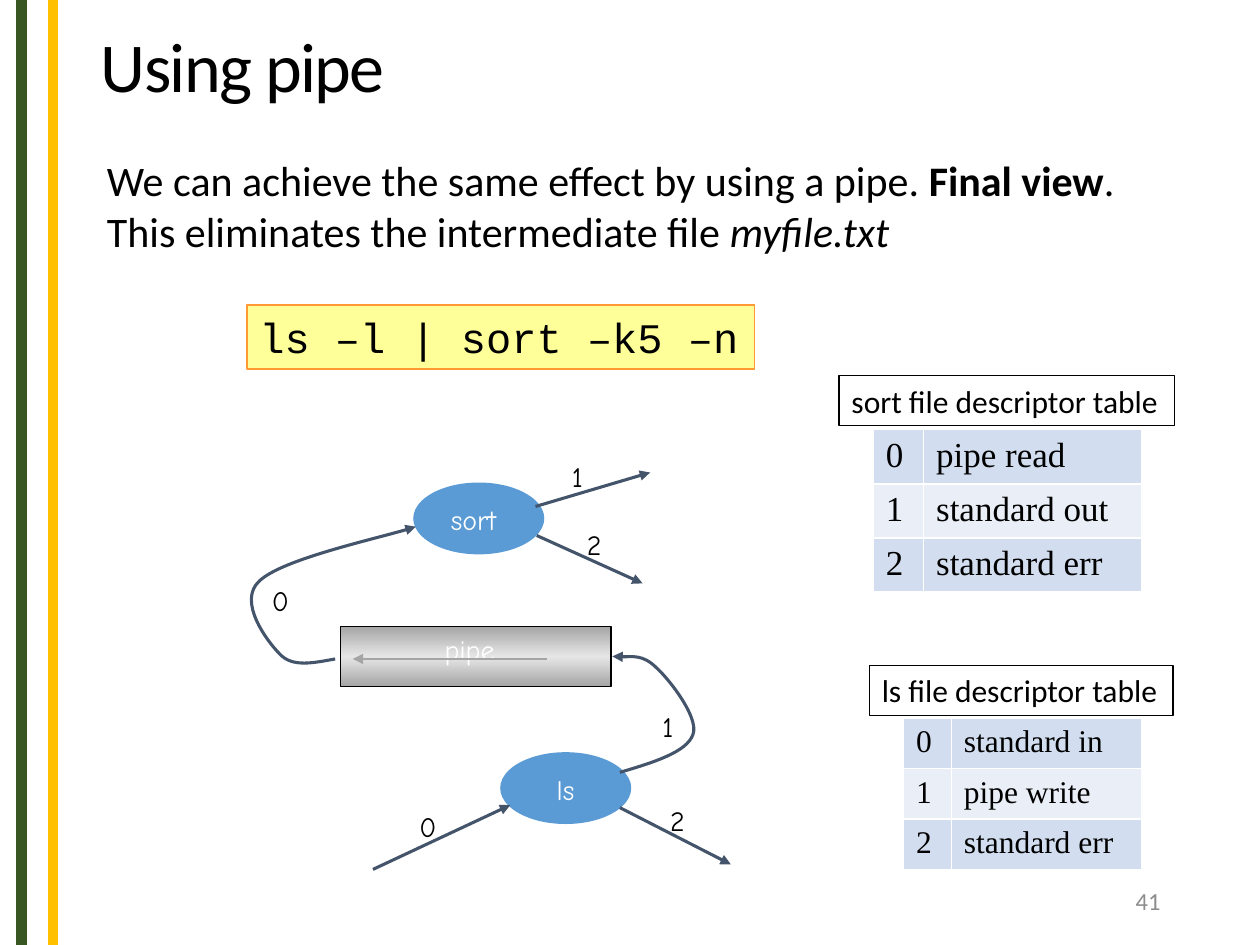
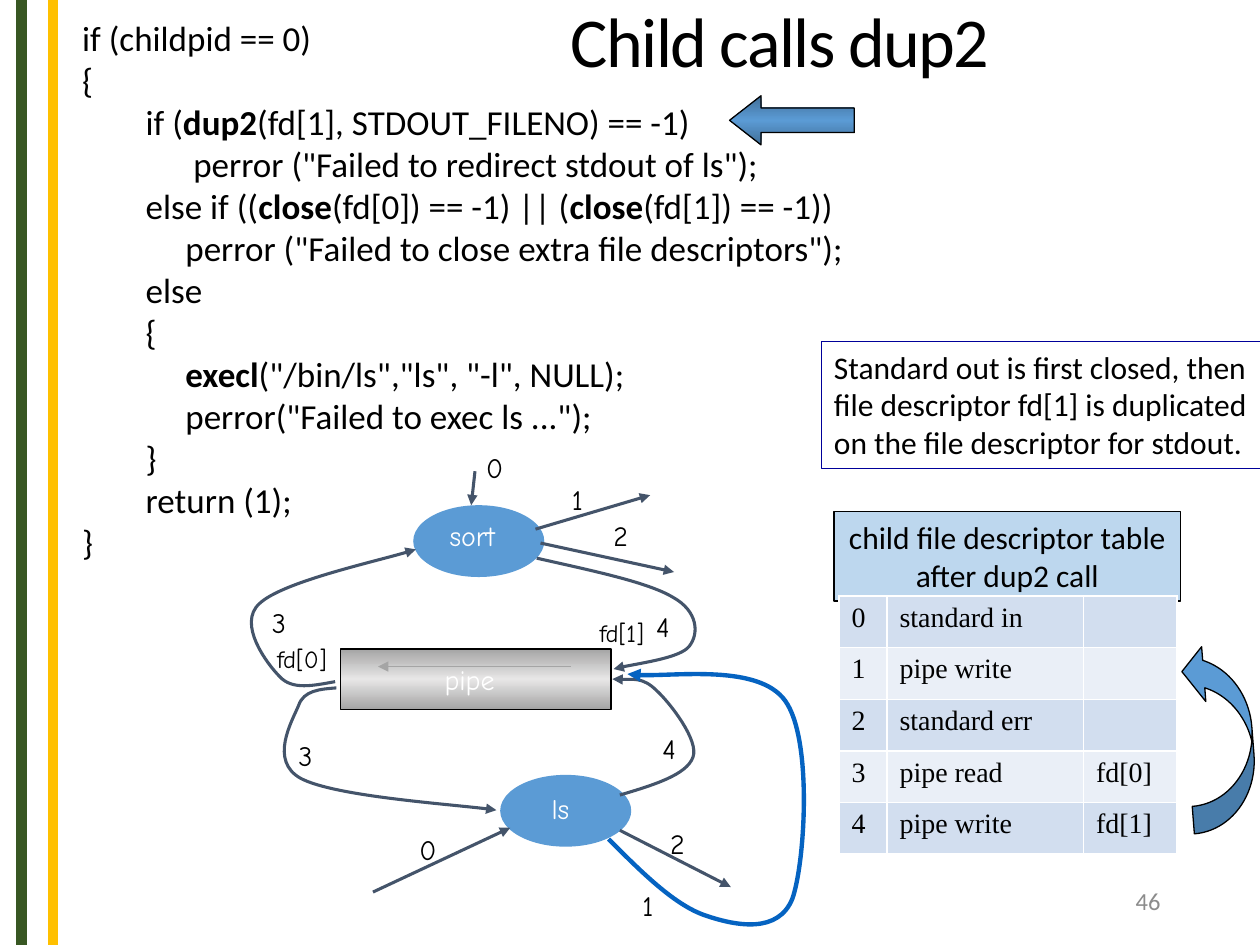
from copy import deepcopy

from lxml.etree import SubElement
from pptx import Presentation
from pptx.dml.color import RGBColor
from pptx.enum.shapes import MSO_CONNECTOR, MSO_SHAPE
from pptx.enum.text import MSO_ANCHOR, MSO_AUTO_SIZE, PP_ALIGN
from pptx.oxml.ns import qn
from pptx.util import Cm, Pt

COLORS = {
    "black": "000000", "white": "FFFFFF", "green": "385723", "gold": "FFC000",
    "slate": "44546A", "process": "5B9BD5", "process_dark": "416F98",
    "gray": "A5A5A5", "light_gray": "E7E6E6", "number": "8C8C8C",
    "command": "FFFF99", "command_edge": "FF9933", "child": "BDD7EE",
    "note_edge": "000099", "dup": "0563C1",
    "row_odd": "D2DEEF", "row_even": "EAEFF7",
}
BODY, HAND, MONO, SERIF = "Calibri", "Comic Neue", "Courier New", "Times New Roman"

# Curves between processes and pipe: start point, then Bezier triples
LS_TO_PIPE = [(4.92, 6.13), (5.19, 6.05), (5.45, 5.97), (5.5, 5.83), (5.55, 5.7),
              (5.32, 5.4), (5.21, 5.3), (5.1, 5.19), (4.92, 5.22), (4.86, 5.21)]
PIPE_TO_SORT = [(2.66, 5.23), (2.49, 5.26), (2.32, 5.3), (2.22, 5.19), (2.12, 5.09),
                (1.88, 4.77), (2.06, 4.61), (2.24, 4.44), (3.1, 4.25), (3.3, 4.18)]
PIPE_TO_LS = [(2.67, 5.46), (2.54, 5.47), (2.41, 5.48), (2.37, 5.6), (2.32, 5.72),
              (2.13, 6.04), (2.39, 6.18), (2.66, 6.32), (3.68, 6.39), (3.94, 6.43)]
SORT_TO_PIPE = [(4.26, 4.43), (4.7, 4.53), (5.14, 4.62), (5.34, 4.74), (5.54, 4.85),
                (5.55, 5.03), (5.47, 5.13), (5.4, 5.22), (4.97, 5.28), (4.87, 5.31)]
DUP_TO_PIPE = [(4.83, 6.66), (5.1, 6.93), (5.36, 7.19), (5.61, 7.27), (5.85, 7.35),
               (6.18, 7.41), (6.29, 7.13), (6.39, 6.84), (6.45, 5.86), (6.23, 5.56),
               (6.02, 5.27), (5.19, 5.39), (4.98, 5.35)]

# Child code: indent in characters, then runs
CODE = [
    (8, ["if (childpid == 0)"]),
    (8, ["{"]),
    (16, ["if (", ("dup2", "b"), "(fd[1], STDOUT_FILENO) == -1)"]),
    (22, ['perror ("Failed to redirect stdout of ls");']),
    (16, ["else if ((", ("close", "b"), "(fd[0]) == -1) || (",
          ("close", "b"), "(fd[1]) == -1))"]),
    (21, ['perror ("Failed to close extra file descriptors");']),
    (16, ["else"]),
    (16, ["{"]),
    (21, [("execl", "b"), '("/bin/ls","ls", "-l", NULL);']),
    (21, ['perror("Failed to exec ls ...");']),
    (16, ["}"]),
    (16, ["return (1);"]),
    (8, ["}"]),
]


def rgb(name):
    return RGBColor.from_string(COLORS[name])


def grid(*values):
    """Lengths on a grid of 2.54 cm."""
    return [Cm(2.54 * value) for value in values]


# Text
def write(frame, lines, size, font=BODY, color="black", align=PP_ALIGN.LEFT,
          anchor=MSO_ANCHOR.TOP, wrap=False):
    frame.word_wrap = wrap
    frame.auto_size = MSO_AUTO_SIZE.NONE
    frame.vertical_anchor = anchor
    for index, runs in enumerate(lines):
        paragraph = frame.paragraphs[0] if index == 0 else frame.add_paragraph()
        paragraph.alignment = align
        for part in runs:
            words, style = part if isinstance(part, tuple) else (part, "")
            run = paragraph.add_run()
            run.text = words
            run.font.size, run.font.name = Pt(size), font
            run.font.bold, run.font.italic = style == "b", style == "i"
            run.font.color.rgb = rgb(color)


def add_text(slide, box, lines, size, **style):
    frame = slide.shapes.add_textbox(*grid(*box)).text_frame
    write(frame, lines, size, **style)
    return frame


def add_label(slide, words, x, y, width=0.34, size=16, color="black"):
    add_text(slide, (x, y, width, 0.37), [[words]], size, font=HAND, color=color)


# Shapes and lines
def add_block(slide, kind, box, fill=None, edge=None):
    block = slide.shapes.add_shape(kind, *grid(*box))
    block.shadow.inherit = False
    if fill:
        block.fill.solid()
        block.fill.fore_color.rgb = rgb(fill)
    else:
        block.fill.background()
    if edge:
        block.line.color.rgb = rgb(edge)
        block.line.width = Pt(0.75)
    else:
        block.line.fill.background()
    return block


def add_boxed_text(slide, box, lines, size=18, fill=None, edge="black", **style):
    block = add_block(slide, MSO_SHAPE.RECTANGLE, box, fill, edge)
    write(block.text_frame, lines, size, **style)


def shade(block, outer, middle):
    """Vertical gradient: outer, middle, outer."""
    block.fill.gradient()
    block.fill.gradient_angle = 90
    first, last = block.fill.gradient_stops
    first.color.rgb, last.color.rgb = rgb(outer), rgb(middle)
    stops = block.element.spPr.find(qn("a:gradFill")).find(qn("a:gsLst"))
    stops.append(deepcopy(stops[0]))
    for stop, position in zip(stops, (0, 50000, 100000)):
        stop.set("pos", str(position))


def style_line(line, color, width, arrow=True):
    line.color.rgb = rgb(color)
    line.width = Pt(width)
    if arrow:
        SubElement(line._get_or_add_ln(), qn("a:tailEnd"), type="triangle")


def add_line(slide, start, end, color="slate", width=1.75, arrow=True):
    line = slide.shapes.add_connector(MSO_CONNECTOR.STRAIGHT, *grid(*start, *end))
    style_line(line.line, color, width, arrow)
    SubElement(line.element.spPr, qn("a:effectLst"))


def add_curve(slide, points, dy=0, color="slate", width=1.75):
    start, *controls = [grid(x, y + dy) for x, y in points]
    builder = slide.shapes.build_freeform(*start)
    builder.add_line_segments(controls, close=False)
    curve = builder.convert_to_shape()
    curve.shadow.inherit = False
    curve.fill.background()
    style_line(curve.line, color, width)
    # Join each three segments into one Bezier segment
    outline = next(curve.element.iter(qn("a:path")))
    segments = outline.findall(qn("a:lnTo"))
    for first in range(0, len(segments), 3):
        bezier = SubElement(outline, qn("a:cubicBezTo"))
        for segment in segments[first:first + 3]:
            bezier.append(segment[0])
            outline.remove(segment)


# Tables
def add_descriptors(slide, x, y, columns, row_height, size, rows):
    table = slide.shapes.add_table(
        len(rows), len(columns),
        *grid(x, y, sum(columns), row_height * len(rows))).table
    table.first_row = table.horz_banding = False
    for column, width in zip(table.columns, grid(*columns)):
        column.width = width
    for r, row in enumerate(rows):
        table.rows[r].height = grid(row_height)[0]
        for c, words in enumerate((str(r), *row)):
            cell = table.cell(r, c)
            properties = cell._tc.get_or_add_tcPr()
            for side in ("lnL", "lnR", "lnT", "lnB"):
                border = SubElement(properties, qn(f"a:{side}"), w=str(Pt(1)))
                paint = SubElement(border, qn("a:solidFill"))
                SubElement(paint, qn("a:srgbClr"), val=COLORS["white"])
            cell.fill.solid()
            cell.fill.fore_color.rgb = rgb("row_even" if r % 2 else "row_odd")
            if words:
                write(cell.text_frame, [[words]], size, font=SERIF, wrap=True)


# Parts shared by the slides
def start_slide(deck, title, title_box, number):
    slide = deck.slides.add_slide(deck.slide_layouts[5])
    for x, color in ((0.17, "green"), (0.42, "gold")):
        add_line(slide, (x, 0), (x, 7.5), color, 6, arrow=False)
    heading = slide.shapes.title
    heading.left, heading.top, heading.width, heading.height = grid(*title_box)
    write(heading.text_frame, [[title]], 40, anchor=MSO_ANCHOR.MIDDLE, wrap=True)
    paragraph = heading.text_frame.paragraphs[0]
    paragraph.line_spacing = 0.85
    paragraph.runs[0].font._element.set("spc", "-90")
    add_text(slide, (7.06, 6.95, 2.25, 0.4), [[number]], 14, color="number",
             align=PP_ALIGN.RIGHT, anchor=MSO_ANCHOR.MIDDLE, wrap=True)
    return slide


def add_pipeline(slide, dy, ls_out, sort_in, sort_err_line):
    """Processes sort and ls around the pipe, moved down by dy."""
    pipe = add_block(slide, MSO_SHAPE.RECTANGLE, (2.7, 4.97 + dy, 2.15, 0.48),
                     edge="black")
    shade(pipe, "gray", "light_gray")
    for x, y in ((3.97, 5.97), (3.28, 3.83)):
        add_block(slide, MSO_SHAPE.OVAL, (x, y + dy, 1.04, 0.57), "process")
    for start, end in (((2.96, 6.9), (4.05, 6.39)), ((4.92, 6.41), (5.8, 6.86)),
                       ((4.25, 4.02), (5.16, 3.75))):
        add_line(slide, (start[0], start[1] + dy), (end[0], end[1] + dy))
    add_line(slide, *sort_err_line)
    add_curve(slide, LS_TO_PIPE, dy)
    add_curve(slide, PIPE_TO_SORT, dy)
    for words, x, y in (("0", 3.23, 6.38), ("2", 5.22, 6.33), (ls_out, 5.16, 5.58),
                        (sort_in, 2.06, 4.58), ("1", 4.44, 3.6)):
        add_label(slide, words, x, y + dy, 0.3 if words == "1" else 0.34)


def add_pipe_slide(deck):
    slide = start_slide(deck, "Using pipe", (0.7, -0.02, 7.1, 1.17), "41")
    add_text(slide, (0.75, 1.18, 8.31, 0.91), [
        ["We can achieve the same effect by using a pipe. ", ("Final view", "b"), "."],
        ["This eliminates the intermediate file ", ("myfile.txt", "i")],
    ], 24, wrap=True)
    add_boxed_text(slide, (1.96, 2.42, 4.03, 0.51), [["ls –l | sort –k5 –n"]], 24,
                   "command", "command_edge", font=MONO)
    # Diagram
    add_pipeline(slide, 0, "1", "0", ((4.26, 4.25), (5.1, 4.63)))
    add_label(slide, "2", 4.56, 4.14)
    add_label(slide, "pipe", 3.43, 4.97, 0.62, color="white")
    add_label(slide, "ls", 4.32, 6.08, 0.37, color="white")
    add_label(slide, "sort", 3.48, 3.94, 0.64, color="white")
    add_line(slide, (4.34, 5.23), (2.8, 5.23), "gray", 0.75)
    # Descriptor tables
    add_boxed_text(slide, (6.66, 2.98, 2.66, 0.4), [["sort file descriptor table"]])
    add_descriptors(slide, 6.93, 3.41, (0.4, 1.73), 0.43, 20,
                    [("pipe read",), ("standard out",), ("standard err",)])
    add_boxed_text(slide, (6.9, 5.28, 2.41, 0.4), [["ls file descriptor table"]])
    add_descriptors(slide, 7.17, 5.7, (0.38, 1.51), 0.4, 18,
                    [("standard in",), ("pipe write",), ("standard err",)])


def add_dup_slide(deck):
    slide = start_slide(deck, "Child calls dup2", (4.43, -0.26, 4.91, 1.25), "46")
    # Code, with the current call marked
    code = add_text(slide, (0.05, 0.08, 6.91, 4.88), [runs for _, runs in CODE], 20,
                    wrap=True)
    for paragraph, (indent, _) in zip(code.paragraphs, CODE):
        properties = paragraph._p.get_or_add_pPr()
        properties.set("marL", str(Cm(0.16 * indent)))
        properties.set("indent", "0")
    marker = add_block(slide, MSO_SHAPE.LEFT_ARROW, (5.79, 0.76, 0.99, 0.39),
                       edge="black")
    marker.adjustments[1] = 0.64
    shade(marker, "process_dark", "process")
    # Diagram
    add_pipeline(slide, 0.18, "4", "3", ((4.29, 4.31), (5.35, 4.54)))
    add_line(slide, (3.77, 3.74), (3.74, 4.01))
    add_curve(slide, PIPE_TO_LS)
    add_curve(slide, SORT_TO_PIPE)
    add_curve(slide, DUP_TO_PIPE, color="dup", width=2.5)
    add_label(slide, "pipe", 3.43, 5.21, 0.62, color="white")
    add_label(slide, "ls", 4.28, 6.23, 0.37, color="white")
    add_label(slide, "sort", 3.47, 4.07, 0.64, color="white")
    for words, x, y in (("2", 4.77, 4.07), ("1", 5, 7), ("3", 2.27, 5.81),
                        ("0", 3.76, 3.53), ("4", 5.11, 4.79)):
        add_label(slide, words, x, y)
    add_label(slide, "fd[0]", 2.1, 5.06, 0.68, 14)
    add_label(slide, "fd[1]", 4.66, 4.86, 0.65, 14)
    add_line(slide, (4.53, 5.29), (3, 5.29), "gray", 0.75)
    # Explanation and descriptor table
    add_boxed_text(slide, (6.52, 2.71, 3.52, 1.01), [
        ["Standard out is first closed, then"],
        ["file descriptor fd[1] is duplicated"],
        ["on the file descriptor for stdout."],
    ], edge="note_edge")
    add_boxed_text(slide, (6.62, 4.06, 2.75, 0.71),
                   [["child file descriptor table"], ["after dup2 call"]],
                   fill="child", align=PP_ALIGN.CENTER)
    add_descriptors(slide, 6.66, 4.73, (0.38, 1.56, 0.74), 0.41, 16, [
        ("standard in", ""), ("pipe write", ""), ("standard err", ""),
        ("pipe read", "fd[0]"), ("pipe write", "fd[1]")])
    copy_arrow = add_block(slide, MSO_SHAPE.CURVED_LEFT_ARROW,
                           (9.42, 5.09, 0.52, 1.51), "process", "black")
    for index, value in enumerate((0.42, 0.84, 0.33)):
        copy_arrow.adjustments[index] = value
    copy_arrow.rotation = 175.6
    copy_arrow.element.spPr.find(qn("a:xfrm")).set("flipH", "1")


def main():
    deck = Presentation()
    deck.slide_width, deck.slide_height = grid(10, 7.5)
    add_pipe_slide(deck)
    add_dup_slide(deck)
    deck.save("out.pptx")


if __name__ == "__main__":
    main()
